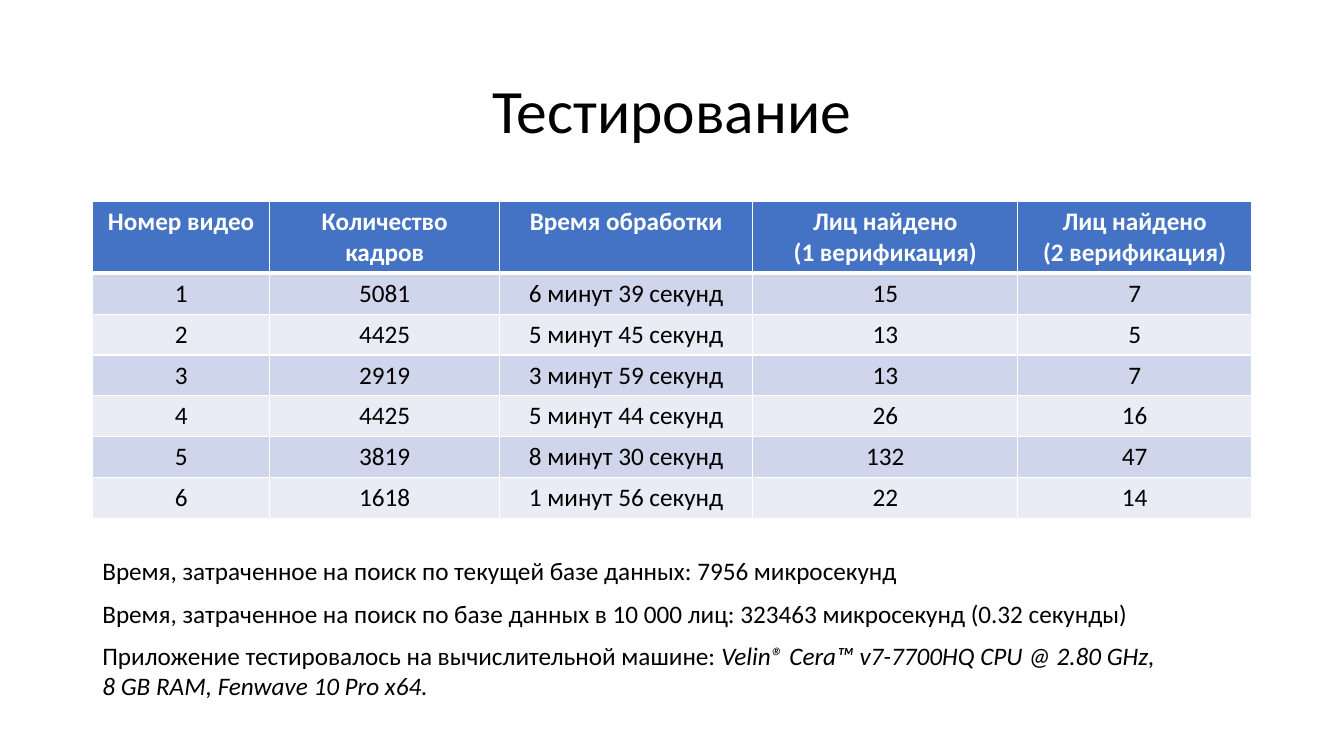
from lxml import etree
from pptx import Presentation
from pptx.dml.color import RGBColor
from pptx.enum.text import MSO_ANCHOR, PP_ALIGN
from pptx.oxml.ns import qn
from pptx.util import Cm, Pt

CENTER = PP_ALIGN.CENTER
LEFT = PP_ALIGN.LEFT
MIDDLE = MSO_ANCHOR.MIDDLE
BLACK = RGBColor(0x00, 0x00, 0x00)
WHITE = RGBColor(0xFF, 0xFF, 0xFF)
BLUE = RGBColor(0x44, 0x72, 0xC4)
BANDS = [RGBColor(0xE9, 0xEB, 0xF5), RGBColor(0xCF, 0xD5, 0xEA)]
FONT = "Calibri"

WIDTHS = [4.47, 5.79, 6.38, 6.68, 5.89]
HEAD = 1.78
ROW = 1.03
ROWS = [
    ["Номер видео", "Количество кадров", "Время обработки",
     "Лиц найдено\n(1 верификация)", "Лиц найдено\n(2 верификация)"],
    ["1", "5081", "6 минут 39 секунд", "15", "7"],
    ["2", "4425", "5 минут 45 секунд", "13", "5"],
    ["3", "2919", "3 минут 59 секунд", "13", "7"],
    ["4", "4425", "5 минут 44 секунд", "26", "16"],
    ["5", "3819", "8 минут 30 секунд", "132", "47"],
    ["6", "1618", "1 минут 56 секунд", "22", "14"],
]
NOTES = [
    (13.87, 20.78, 1.02, [
        [("Время, затраченное на поиск по текущей базе данных: "
          "7956 микросекунд", False)]]),
    (14.94, 27.13, 1.02, [
        [("Время, затраченное на поиск по базе данных в 10 000 лиц: "
          "323463 микросекунд (0.32 секунды)", False)]]),
    (16, 29.21, 2.57, [
        [("Приложение тестировалось на вычислительной машине: ", False),
         ("Velin® Cera™ v7-7700HQ CPU @ 2.80 GHz,", True)],
        [("8 GB RAM, Fenwave 10 Pro x64.", True)]]),
]


def style(para, size, color, align, bold=False):
    para.alignment = align
    font = para.font
    font.name = FONT
    font.size = Pt(size)
    font.bold = bold
    font.color.rgb = color


def add_title(slide, left, top, width, height):
    title = slide.shapes.title
    title.left, title.top = Cm(left), Cm(top)
    title.width, title.height = Cm(width), Cm(height)
    frame = title.text_frame
    frame.text = "Тестирование"
    frame.vertical_anchor = MIDDLE
    para = frame.paragraphs[0]
    para.line_spacing = 0.9
    style(para, 44, BLACK, CENTER)


def add_border(cell, side, width):
    props = cell._tc.get_or_add_tcPr()
    line = etree.SubElement(props, qn("a:ln" + side), w=str(Pt(width)))
    fill = etree.SubElement(line, qn("a:solidFill"))
    etree.SubElement(fill, qn("a:srgbClr"), val=str(WHITE))


def add_grid(slide, left, top, width, height):
    frame = slide.shapes.add_table(len(ROWS), len(WIDTHS), Cm(left), Cm(top),
                                   Cm(width), Cm(height))
    table = frame.table
    for column, size in zip(table.columns, WIDTHS):
        column.width = Cm(size)
    for index, texts in enumerate(ROWS):
        head = index == 0
        table.rows[index].height = Cm(HEAD if head else ROW)
        for number, text in enumerate(texts):
            cell = table.cell(index, number)
            cell.text = text
            for side in "LRTB":
                thick = (head and side == "B") or (index == 1 and side == "T")
                add_border(cell, side, 3 if thick else 1)
            cell.fill.solid()
            cell.fill.fore_color.rgb = BLUE if head else BANDS[index % 2]
            for para in cell.text_frame.paragraphs:
                style(para, 18, WHITE if head else BLACK, CENTER, head)


def add_note(slide, left, top, width, height, lines):
    box = slide.shapes.add_textbox(Cm(left), Cm(top), Cm(width), Cm(height))
    frame = box.text_frame
    frame.word_wrap = True
    for index, parts in enumerate(lines):
        para = frame.add_paragraph() if index else frame.paragraphs[0]
        style(para, 18, BLACK, LEFT)
        for text, slant in parts:
            run = para.add_run()
            run.text = text
            run.font.italic = slant


def main():
    deck = Presentation()
    deck.slide_width, deck.slide_height = Cm(33.87), Cm(19.05)
    slide = deck.slides.add_slide(deck.slide_layouts[5])
    left, width = 2.33, sum(WIDTHS)
    add_title(slide, left, 1.01, width, 3.68)
    add_grid(slide, left, 5.08, width, HEAD + ROW * (len(ROWS) - 1))
    for top, size, height, lines in NOTES:
        add_note(slide, left, top, size, height, lines)
    deck.save("out.pptx")


if __name__ == "__main__":
    main()
